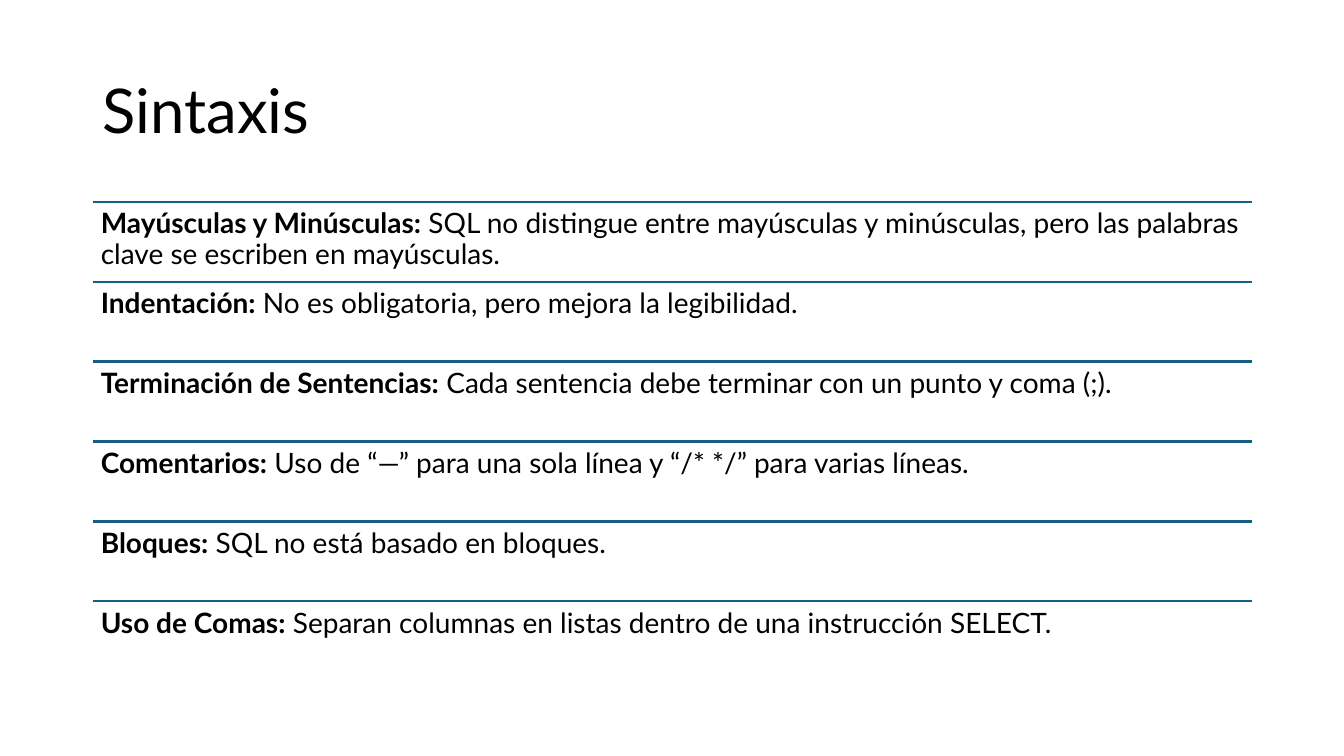
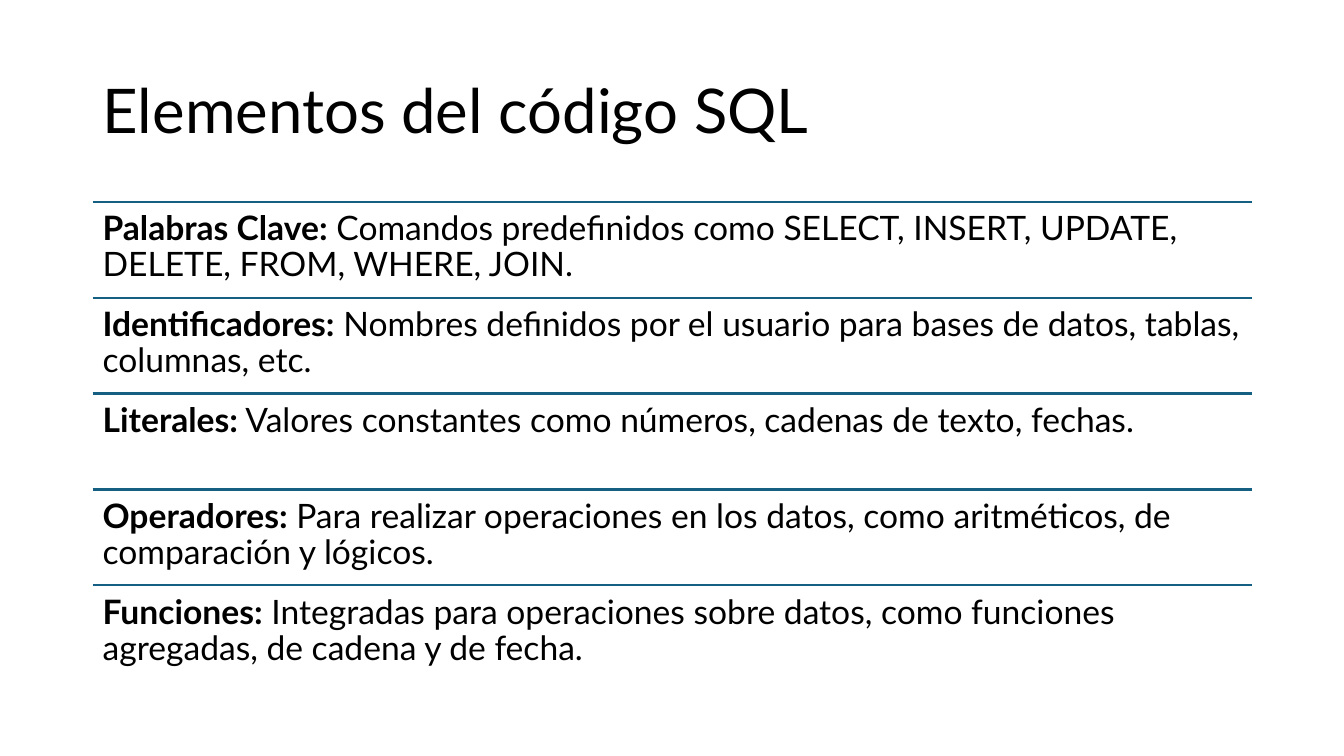
from dataclasses import dataclass

from lxml.etree import SubElement
from pptx import Presentation
from pptx.dml.color import RGBColor
from pptx.enum.shapes import MSO_CONNECTOR
from pptx.enum.text import MSO_ANCHOR
from pptx.oxml.ns import qn
from pptx.util import Inches, Pt

SLIDES = [
    {
        "title": "Sintaxis",
        "size": 20,
        "inset": 0.08,
        "rules": [
            ("Mayúsculas y Minúsculas:", "SQL no distingue entre mayúsculas y minúsculas, pero las palabras clave se escriben en mayúsculas."),
            ("Indentación:", "No es obligatoria, pero mejora la legibilidad."),
            ("Terminación de Sentencias:", "Cada sentencia debe terminar con un punto y coma (;)."),
            ("Comentarios:", "Uso de “—” para una sola línea y “/* */” para varias líneas."),
            ("Bloques:", "SQL no está basado en bloques."),
            ("Uso de Comas:", "Separan columnas en listas dentro de una instrucción SELECT."),
        ],
    },
    {
        "title": "Elementos del código SQL",
        "size": 24,
        "inset": 0.1,
        "rules": [
            ("Palabras Clave:", "Comandos predefinidos como SELECT, INSERT, UPDATE, DELETE, FROM, WHERE, JOIN."),
            ("Identificadores:", "Nombres definidos por el usuario para bases de datos, tablas, columnas, etc."),
            ("Literales:", "Valores constantes como números, cadenas de texto, fechas."),
            ("Operadores:", "Para realizar operaciones en los datos, como aritméticos, de comparación y lógicos."),
            ("Funciones:", "Integradas para operaciones sobre datos, como funciones agregadas, de cadena y de fecha."),
        ],
    },
]


@dataclass(frozen=True)
class Theme:
    font: str = "Lato"
    text: RGBColor = RGBColor(0x00, 0x00, 0x00)
    divider: RGBColor = RGBColor(0x15, 0x60, 0x82)
    background: RGBColor = RGBColor(0xFF, 0xFF, 0xFF)
    title_size: int = 44
    divider_width: float = 1.5
    line_spacing: float = 0.9


THEME = Theme()
LEFT, WIDTH = Inches(0.92), Inches(11.5)
TITLE_TOP, TITLE_HEIGHT = Inches(0.4), Inches(1.45)
LIST_TOP, LIST_HEIGHT = Inches(2), Inches(4.76)


def add_text(slide, top, height, runs, size, anchor, inset=None):
    frame = slide.shapes.add_textbox(LEFT, top, WIDTH, height).text_frame
    frame.word_wrap = True
    frame.vertical_anchor = anchor
    if inset is not None:
        frame.margin_left = frame.margin_right = Inches(inset)
        frame.margin_top = frame.margin_bottom = Inches(inset)
    paragraph = frame.paragraphs[0]
    paragraph.line_spacing = THEME.line_spacing
    for words, bold in runs:
        run = paragraph.add_run()
        run.text = words
        run.font.name = THEME.font
        run.font.size = Pt(size)
        run.font.bold = bold
        run.font.color.rgb = THEME.text


def add_divider(slide, top):
    divider = slide.shapes.add_connector(MSO_CONNECTOR.STRAIGHT, LEFT, top, LEFT + WIDTH, top)
    divider.line.color.rgb = THEME.divider
    divider.line.width = Pt(THEME.divider_width)
    SubElement(divider.element.spPr, qn("a:effectLst"))


def add_slide(deck, content):
    slide = deck.slides.add_slide(deck.slide_layouts[6])
    slide.background.fill.solid()
    slide.background.fill.fore_color.rgb = THEME.background
    add_text(slide, TITLE_TOP, TITLE_HEIGHT, [(content["title"], False)],
             THEME.title_size, MSO_ANCHOR.MIDDLE)
    row_height = LIST_HEIGHT // len(content["rules"])
    for row, (term, meaning) in enumerate(content["rules"]):
        top = LIST_TOP + row * row_height
        add_divider(slide, top)
        add_text(slide, top, row_height, [(term, True), (f" {meaning}", False)],
                 content["size"], MSO_ANCHOR.TOP, content["inset"])


def main():
    deck = Presentation()
    deck.slide_width, deck.slide_height = Inches(13.33), Inches(7.5)
    for content in SLIDES:
        add_slide(deck, content)
    deck.save("out.pptx")


if __name__ == "__main__":
    main()
